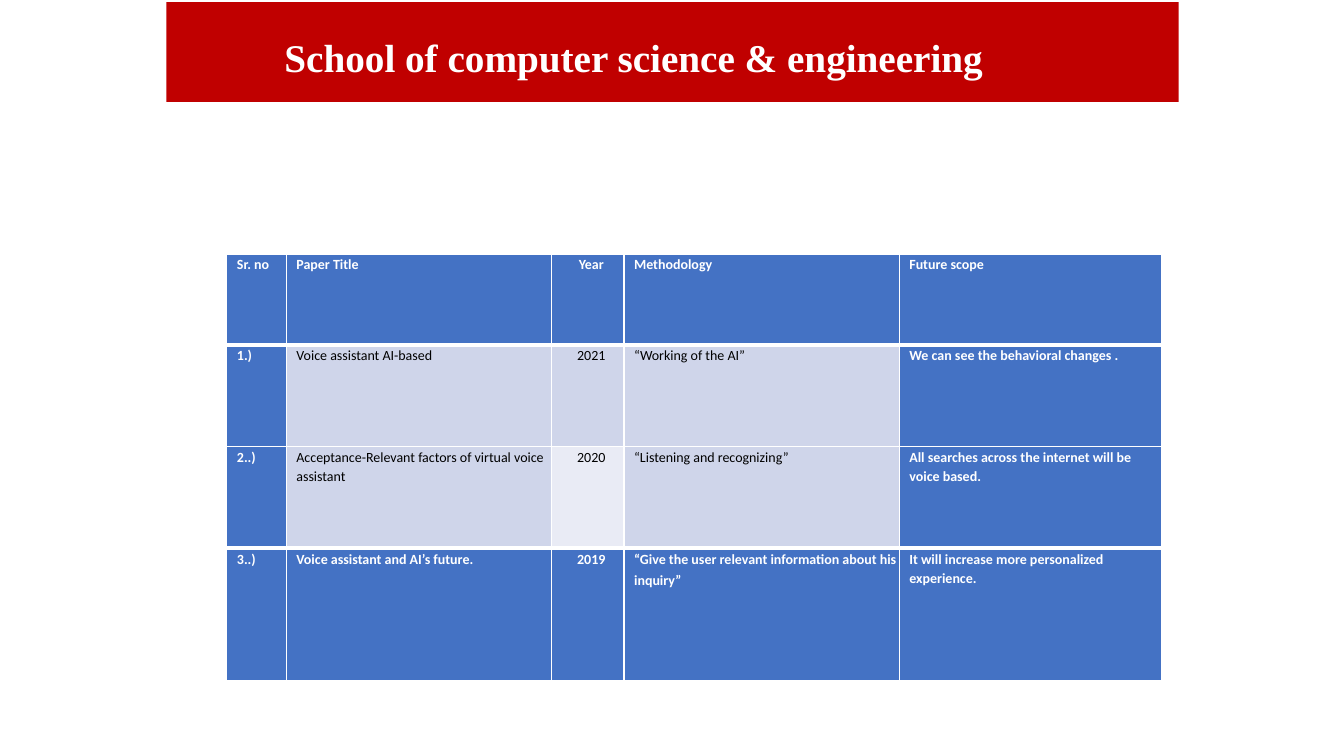
"""Build the literature survey slide: a red title banner above a table of papers."""
from lxml.etree import SubElement
from pptx import Presentation
from pptx.dml.color import RGBColor
from pptx.enum.shapes import MSO_SHAPE
from pptx.enum.text import MSO_ANCHOR, MSO_AUTO_SIZE, PP_ALIGN
from pptx.oxml.ns import qn
from pptx.util import Inches, Pt

THEME = {
    "banner": RGBColor.from_string("C00000"),
    "strong": RGBColor.from_string("4472C4"),
    "light": RGBColor.from_string("CFD5EA"),
    "pale": RGBColor.from_string("E9EBF5"),
    "white": RGBColor.from_string("FFFFFF"),
    "black": RGBColor.from_string("000000"),
    "title_font": "Times New Roman",
    "body_font": "Calibri",
    "title_size": Pt(28),
    "body_size": Pt(10),
    "thin": Pt(1),
    "thick": Pt(3),
}
PAPERS = [
    ["Sr. no", "Paper Title", "Year", "Methodology", "Future scope"],
    ["1.)", "Voice assistant AI-based", "2021", "“Working of the AI”",
     "We can see the behavioral changes ."],
    ["2..)", "Acceptance-Relevant factors of virtual voice assistant", "2020",
     "“Listening and recognizing”",
     "All searches across the internet will be voice based."],
    ["3..)", "Voice assistant and AI’s future.", "2019",
     "“Give the user relevant information about his\ninquiry”",
     "It will increase more personalized experience."],
]
COLUMN_WIDTHS = [0.59, 2.63, 0.72, 2.73, 2.6]
ROW_HEIGHTS = [0.9, 1.01, 1.01, 1.31]
YEAR_COLUMN = 2
LAST_ROW, LAST_COLUMN = len(PAPERS) - 1, len(COLUMN_WIDTHS) - 1


def apply(target, formats):
    """Set every attribute named in formats on the target."""
    for name, value in formats.items():
        setattr(target, name, value)


def add_borders(cell, widths):
    """Draw white borders around a cell, ahead of its fill."""
    properties = cell._tc.get_or_add_tcPr()
    for position, (side, width) in enumerate(widths.items()):
        line = SubElement(properties, qn(f"a:ln{side}"), w=str(int(width)))
        fill = SubElement(line, qn("a:solidFill"))
        SubElement(fill, qn("a:srgbClr"), val=str(THEME["white"]))
        properties.insert(position, line)


deck = Presentation()
apply(deck, {"slide_width": Inches(13.33), "slide_height": Inches(7.5)})
page = deck.slides.add_slide(deck.slide_layouts[5])

banner = page.shapes.add_shape(
    MSO_SHAPE.RECTANGLE, Inches(1.65), Inches(0.02), Inches(10.04), Inches(0.99))
banner.shadow.inherit = False
banner.fill.solid()
banner.fill.fore_color.rgb = THEME["banner"]
banner.line.fill.background()

title = page.shapes.title
title._element.addprevious(banner._element)
apply(title, {"left": Inches(2.72), "top": Inches(0.33),
              "width": Inches(7.13), "height": Inches(0.53)})
apply(title.text_frame, {"text": "School of computer science & engineering",
                         "word_wrap": False, "vertical_anchor": MSO_ANCHOR.MIDDLE,
                         "auto_size": MSO_AUTO_SIZE.SHAPE_TO_FIT_TEXT})
para = title.text_frame.paragraphs[0]
apply(para, {"alignment": PP_ALIGN.CENTER, "line_spacing": 0.9})
span = para.runs[0]
apply(span.font, {"name": THEME["title_font"], "size": THEME["title_size"], "bold": True})
span.font.color.rgb = THEME["white"]

table = page.shapes.add_table(
    len(PAPERS), len(COLUMN_WIDTHS), Inches(2.25), Inches(2.52),
    Inches(sum(COLUMN_WIDTHS)), Inches(sum(ROW_HEIGHTS))).table
apply(table, {"first_row": False, "horz_banding": False})
for column, width in zip(table.columns, COLUMN_WIDTHS):
    column.width = Inches(width)
for row, height in zip(table.rows, ROW_HEIGHTS):
    row.height = Inches(height)

for row_index, paper in enumerate(PAPERS):
    for column_index, wording in enumerate(paper):
        cell = table.cell(row_index, column_index)
        is_year = column_index == YEAR_COLUMN
        is_strong = row_index in (0, LAST_ROW) or column_index in (0, LAST_COLUMN)
        shade = "strong" if is_strong else "light"
        if is_year and row_index == 2:
            shade = "pale"
        apply(cell, {"text": wording, "margin_left": 0, "margin_right": 0,
                     "margin_top": 0, "margin_bottom": 0})
        cell.fill.solid()
        cell.fill.fore_color.rgb = THEME[shade]
        add_borders(cell, {
            "L": THEME["thin"],
            "R": THEME["thin"],
            "T": THEME["thick" if row_index in (1, LAST_ROW) else "thin"],
            "B": THEME["thick" if row_index in (0, LAST_ROW - 1) else "thin"],
        })
        for para_index, para in enumerate(cell.text_frame.paragraphs):
            apply(para, {"alignment": PP_ALIGN.CENTER if is_year else PP_ALIGN.LEFT,
                         "line_spacing": Pt(11.4) if para_index else 1.15,
                         "space_before": Pt(3.6)})
            indent = Inches(0.07 if is_year else 0.1)
            para._p.get_or_add_pPr().set("marL", str(int(indent)))
            span = para.runs[0]
            apply(span.font, {"name": THEME["body_font"], "size": THEME["body_size"],
                              "bold": is_strong})
            span.font.color.rgb = THEME["white" if is_strong else "black"]

deck.save("out.pptx")
